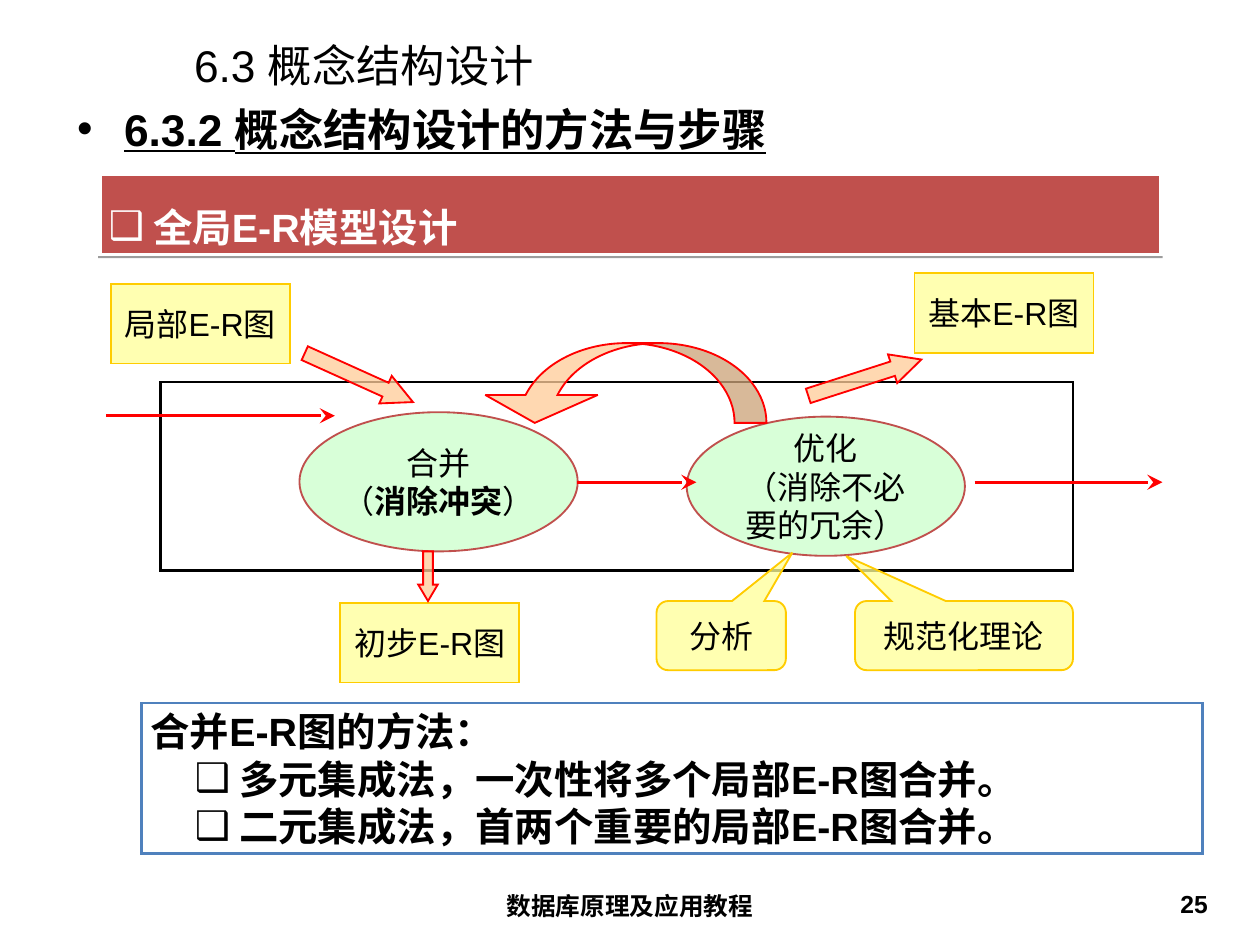
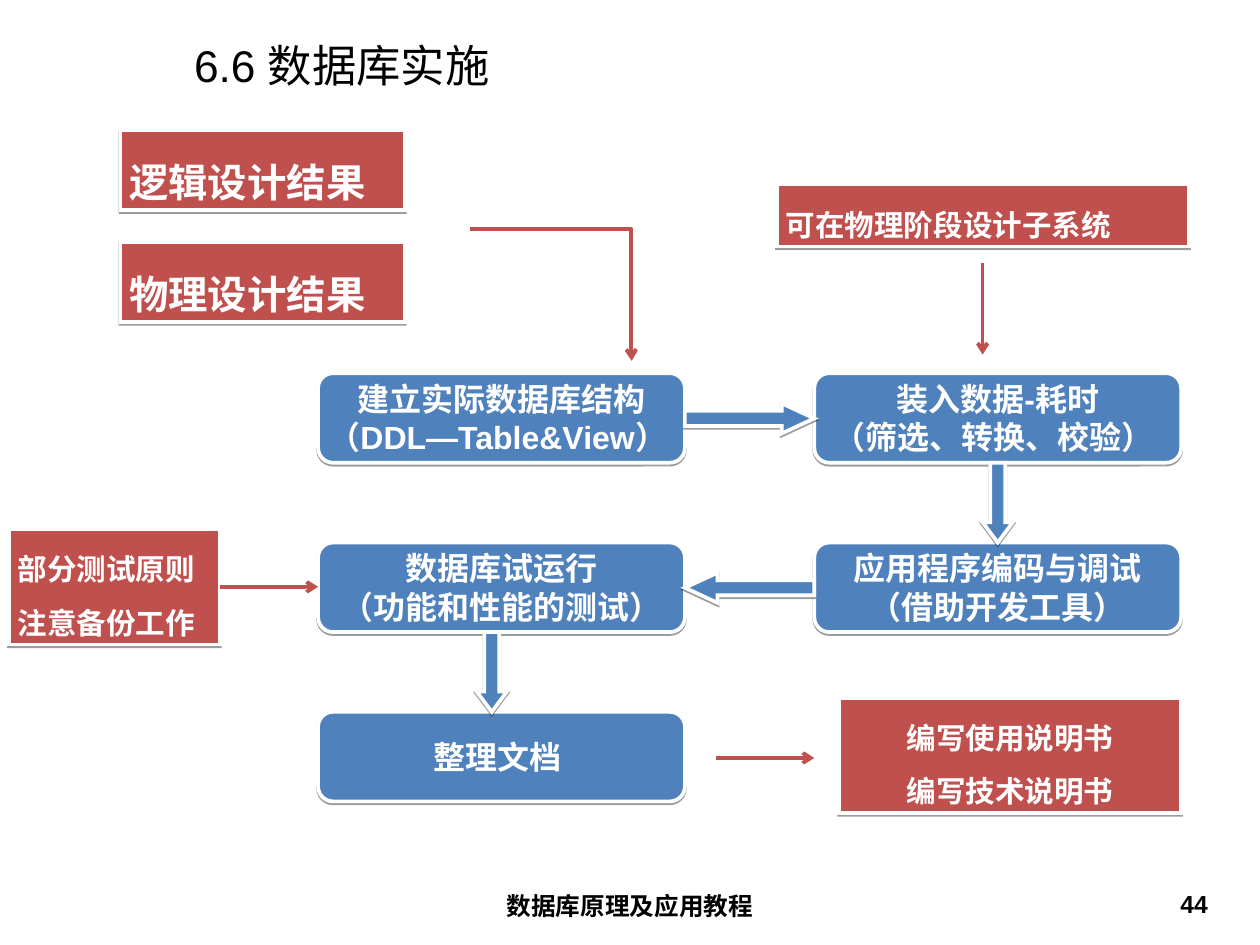
from dataclasses import dataclass

from lxml import etree
from pptx import Presentation
from pptx.dml.color import RGBColor
from pptx.enum.shapes import MSO_CONNECTOR, MSO_SHAPE
from pptx.enum.text import MSO_ANCHOR, PP_ALIGN
from pptx.oxml.ns import qn
from pptx.util import Pt

PX = 9144
LEFT, CENTER, RIGHT = PP_ALIGN.LEFT, PP_ALIGN.CENTER, PP_ALIGN.RIGHT
TOP, MIDDLE = MSO_ANCHOR.TOP, MSO_ANCHOR.MIDDLE
RECT, ELLIPSE = MSO_SHAPE.RECTANGLE, MSO_SHAPE.OVAL
PROCESS, STEP = MSO_SHAPE.FLOWCHART_PROCESS, MSO_SHAPE.FLOWCHART_ALTERNATE_PROCESS
BLOCK_ARROW, RETURN_ARROW = MSO_SHAPE.RIGHT_ARROW, MSO_SHAPE.CURVED_UP_ARROW
CALLOUT = MSO_SHAPE.ROUNDED_RECTANGULAR_CALLOUT
STRAIGHT, ELBOW = MSO_CONNECTOR.STRAIGHT, MSO_CONNECTOR.ELBOW


@dataclass(frozen=True)
class Theme:
    """Colours, font and type sizes of the deck."""
    font: str = "Arial"
    ink: str = "000000"
    paper: str = "FFFFFF"
    red: str = "C0504D"
    blue: str = "4F81BD"
    signal: str = "FF0000"
    yellow: str = "FFFF99"
    gold: str = "FFCC00"
    peach: str = "FFCC99"
    green: str = "CCFFCC"
    title: int = 36
    heading: int = 32
    label: int = 26
    note: int = 24
    footer: int = 20
    opacity: int = 76


THEME = Theme()
WIDE = (14, 7)
NARROW = (10, 5)


def rgb(color):
    """Turn a hex string into a colour."""
    return RGBColor.from_string(color)


def assign(target, values):
    """Set each named attribute on the target."""
    for name, value in values.items():
        setattr(target, name, value)


def child(parent, tag, **attributes):
    """Append a drawing element with the given attributes."""
    element = etree.SubElement(parent, qn(tag))
    for name, value in attributes.items():
        element.set(name, str(value))
    return element


def add_bullet(paragraph, mark, color, margin, hang):
    """Give a paragraph a coloured bullet and a hanging indent."""
    properties = paragraph._p.get_or_add_pPr()
    properties.set("marL", str(margin * PX))
    properties.set("indent", str(-hang * PX))
    child(child(properties, "a:buClr"), "a:srgbClr", val=color)
    child(properties, "a:buFont", typeface=THEME.font)
    child(properties, "a:buChar", char=mark)


def write(shape, lines, size, color=THEME.ink, bold=False, underline=False,
          align=CENTER, anchor=MIDDLE, inset=WIDE, wrap=True, spacing=None, bullets=None):
    """Fill a shape with paragraphs, each a string or a list of (text, bold) runs."""
    frame = shape.text_frame
    across, down = (length * PX for length in inset)
    assign(frame, {"margin_left": across, "margin_right": across, "margin_top": down,
                   "margin_bottom": down, "vertical_anchor": anchor, "word_wrap": wrap})
    for index, line in enumerate(lines):
        paragraph = frame.add_paragraph() if index else frame.paragraphs[0]
        if bullets and index in bullets:
            add_bullet(paragraph, *bullets[index])
        assign(paragraph, {"alignment": align, "line_spacing": spacing})
        for text, run_bold in ([(line, bold)] if isinstance(line, str) else line):
            run = paragraph.add_run()
            run.text = text
            assign(run.font, {"name": THEME.font, "size": Pt(size), "bold": run_bold,
                              "underline": underline})
            run.font.color.rgb = rgb(color)


def add_text(slide, box, lines, size, **text_format):
    """Add a text box."""
    write(slide.shapes.add_textbox(*(length * PX for length in box)), lines, size, **text_format)


def add_figure(slide, kind, box, fill, line, weight, opacity=None, adjust=(), rotation=0):
    """Add a preset shape with a plain fill and a sharp-cornered outline."""
    shape = slide.shapes.add_shape(kind, *(length * PX for length in box))
    shape.shadow.inherit = False
    shape.rotation = rotation
    for index, value in enumerate(adjust):
        shape.adjustments[index] = value
    if fill:
        shape.fill.solid()
        shape.fill.fore_color.rgb = rgb(fill)
    else:
        shape.fill.background()
    if opacity:
        color = shape._element.spPr.find(qn("a:solidFill"))[0]
        child(color, "a:alpha", val=opacity * 1000)
    shape.line.color.rgb = rgb(line)
    shape.line.width = Pt(weight)
    child(shape._element.spPr.find(qn("a:ln")), "a:miter", lim=800000)
    return shape


def add_raised(slide, kind, box, fill, **shape_format):
    """Add a white-edged shape with a drop shadow."""
    shape = add_figure(slide, kind, box, fill, THEME.paper, 3, **shape_format)
    effects = shape._element.spPr.find(qn("a:effectLst"))
    shadow = child(effects, "a:outerShdw", dist=Pt(1.6), dir=5400000, rotWithShape=0)
    child(child(shadow, "a:srgbClr", val=THEME.ink), "a:alpha", val=38000)
    return shape


def add_panel(slide, box, lines, size, align=LEFT, bullets=None):
    """Add a raised red panel with white bold text."""
    write(add_raised(slide, RECT, box, THEME.red), lines, size, THEME.paper, bold=True,
          align=align, anchor=TOP, inset=NARROW, spacing=1.5, bullets=bullets)


def add_tinted(slide, kind, box, fill, line, lines=(), wrap=False, **shape_format):
    """Add a translucent diagram shape with its label."""
    shape = add_figure(slide, kind, box, fill, line, 1.5, THEME.opacity, **shape_format)
    if lines:
        write(shape, lines, THEME.label, wrap=wrap)


def add_arrow(slide, start, end, color, weight, head, head_size="med", kind=STRAIGHT, bend=None):
    """Add a connector with an arrowhead at its end."""
    arrow = slide.shapes.add_connector(kind, *(length * PX for length in start + end))
    arrow.line.color.rgb = rgb(color)
    arrow.line.width = Pt(weight)
    properties = arrow._element.spPr
    child(properties.find(qn("a:ln")), "a:tailEnd", type=head, w=head_size, len=head_size)
    child(properties, "a:effectLst")
    if bend:
        guides = properties.find(qn("a:prstGeom")).find(qn("a:avLst"))
        child(guides, "a:gd", name="adj1", fmla=f"val {bend}")


def start_slide(deck, title, number):
    """Add a slide with the shared title, course footer and page number."""
    slide = deck.slides.add_slide(deck.slide_layouts[6])
    add_text(slide, (205, 45, 1183, 57), [title], THEME.title, align=LEFT)
    add_text(slide, (486, 998, 450, 55), ["数据库原理及应用教程"], THEME.footer, bold=True, anchor=TOP)
    add_text(slide, (1041, 998, 332, 55), [number], THEME.footer, bold=True, align=RIGHT,
             anchor=TOP, inset=NARROW)
    return slide


def build_concept_design(deck):
    """Build the slide on designing the global E-R model."""
    slide = start_slide(deck, "6.3 概念结构设计", "25")
    add_text(slide, (73, 108, 1280, 89), ["6.3.2 概念结构设计的方法与步骤"], THEME.title, bold=True,
             underline=True, align=LEFT, anchor=TOP, bullets={0: ("•", THEME.ink, 53, 53)})
    add_panel(slide, (113, 197, 1197, 90), ["全局E-R模型设计"], THEME.heading,
              bullets={0: ("❑", THEME.paper, 50, 50)})
    methods = add_figure(slide, RECT, (160, 793, 1197, 170), THEME.paper, THEME.blue, 2)
    method_bullet = ("❑", THEME.ink, 100, 50)
    write(methods, ["合并E-R图的方法：", "多元集成法，一次性将多个局部E-R图合并。",
                    "二元集成法，首两个重要的局部E-R图合并。"], THEME.heading, bold=True,
          align=LEFT, anchor=TOP, inset=NARROW, bullets={1: method_bullet, 2: method_bullet})
    add_figure(slide, RECT, (181, 431, 1030, 213), None, THEME.ink, 2.25)

    for left, top, name in ((125, 320, "局部E-R图"), (1032, 308, "基本E-R图"),
                            (384, 680, "初步E-R图")):
        add_tinted(slide, PROCESS, (left, top, 202, 90), THEME.yellow, THEME.gold, [name])
    merge = ["合并", [("（", False), ("消除冲突", True), ("）", False)]]
    optimise = ["优化", "（消除不必", "要的冗余）"]
    for left, top, lines in ((338, 465, merge), (775, 470, optimise)):
        add_tinted(slide, ELLIPSE, (left, top, 314, 157), THEME.green, THEME.red, lines)
    for box, rotation, head in (((338, 409, 134, 34), 24.3, 1), ((909, 409, 134, 34), 342.2, 1),
                                ((455, 639, 56, 22), 90, 0.84)):
        add_tinted(slide, BLOCK_ARROW, box, THEME.peach, THEME.signal, adjust=(0.5, head),
                   rotation=rotation)
    for start, end, level in ((120, 378, 469), (651, 786, 544), (1100, 1312, 544)):
        add_arrow(slide, (start, level), (end, level), THEME.signal, 2.5, "stealth", "lg")
    add_tinted(slide, RETURN_ARROW, (540, 387, 325, 90), THEME.peach, THEME.signal,
               adjust=(0.4, 1.41, 0.35), rotation=180)
    for left, width, name, pointer in ((741, 146, "分析", (0.55, -1.2)),
                                       (965, 246, "规范化理论", (-0.54, -1.15))):
        add_tinted(slide, CALLOUT, (left, 678, width, 78), THEME.yellow, THEME.gold, [name],
                   wrap=True, adjust=pointer)


def build_implementation(deck):
    """Build the slide on the database implementation flow."""
    slide = start_slide(deck, "6.6 数据库实施", "44")
    columns, first_row, pitch, width, height = (359, 919), 421, 191, 414, 101
    steps = (
        (0, 0, ["建立实际数据库结构", "（DDL—Table&View） "]),
        (1, 0, ["装入数据-耗时", "（筛选、转换、校验） "]),
        (1, 1, ["应用程序编码与调试", "（借助开发工具）"]),
        (0, 1, ["数据库试运行", "（功能和性能的测试）"]),
        (0, 2, ["整理文档 "]),
    )
    for column, row, lines in steps:
        box = (columns[column], first_row + row * pitch, width, height)
        write(add_raised(slide, STEP, box, THEME.blue), lines, THEME.label, THEME.paper,
              bold=True, wrap=False)

    across, down, thickness = columns[1] - columns[0] - width, pitch - height, 34
    middle = first_row + (height + 1) // 2
    gap_middle = first_row + height + down // 2
    flow = ((846, middle, across, 0, 1.08), (1126, gap_middle, down, 90, 0.67),
            (846, middle + pitch, across, 180, 1.08), (555, gap_middle + pitch, down, 90, 0.67))
    for center_x, center_y, length, rotation, head in flow:
        box = (center_x - length // 2, center_y - thickness // 2, length, thickness)
        add_raised(slide, BLOCK_ARROW, box, THEME.blue, adjust=(0.5, head), rotation=rotation)

    add_panel(slide, (136, 147, 321, 90), ["逻辑设计结果"], THEME.heading)
    add_panel(slide, (136, 273, 321, 90), ["物理设计结果"], THEME.heading)
    add_arrow(slide, (530, 258), (713, 407), THEME.red, 3, "arrow", kind=ELBOW, bend=99700)
    add_panel(slide, (877, 208, 465, 70), ["可在物理阶段设计子系统"], THEME.note)
    add_panel(slide, (10, 597, 238, 130), ["部分测试原则", "注意备份工作"], THEME.note)
    add_panel(slide, (947, 787, 386, 130), ["编写使用说明书", "编写技术说明书"], THEME.note, CENTER)
    for start, end in (((1109, 297), (1109, 400)), ((248, 662), (359, 662)),
                       ((808, 855), (919, 855))):
        add_arrow(slide, start, end, THEME.red, 3, "arrow")


def main():
    """Build and save the deck."""
    deck = Presentation()
    assign(deck, {"slide_width": 1422 * PX, "slide_height": 1066 * PX})
    build_concept_design(deck)
    build_implementation(deck)
    deck.save("out.pptx")


if __name__ == "__main__":
    main()
